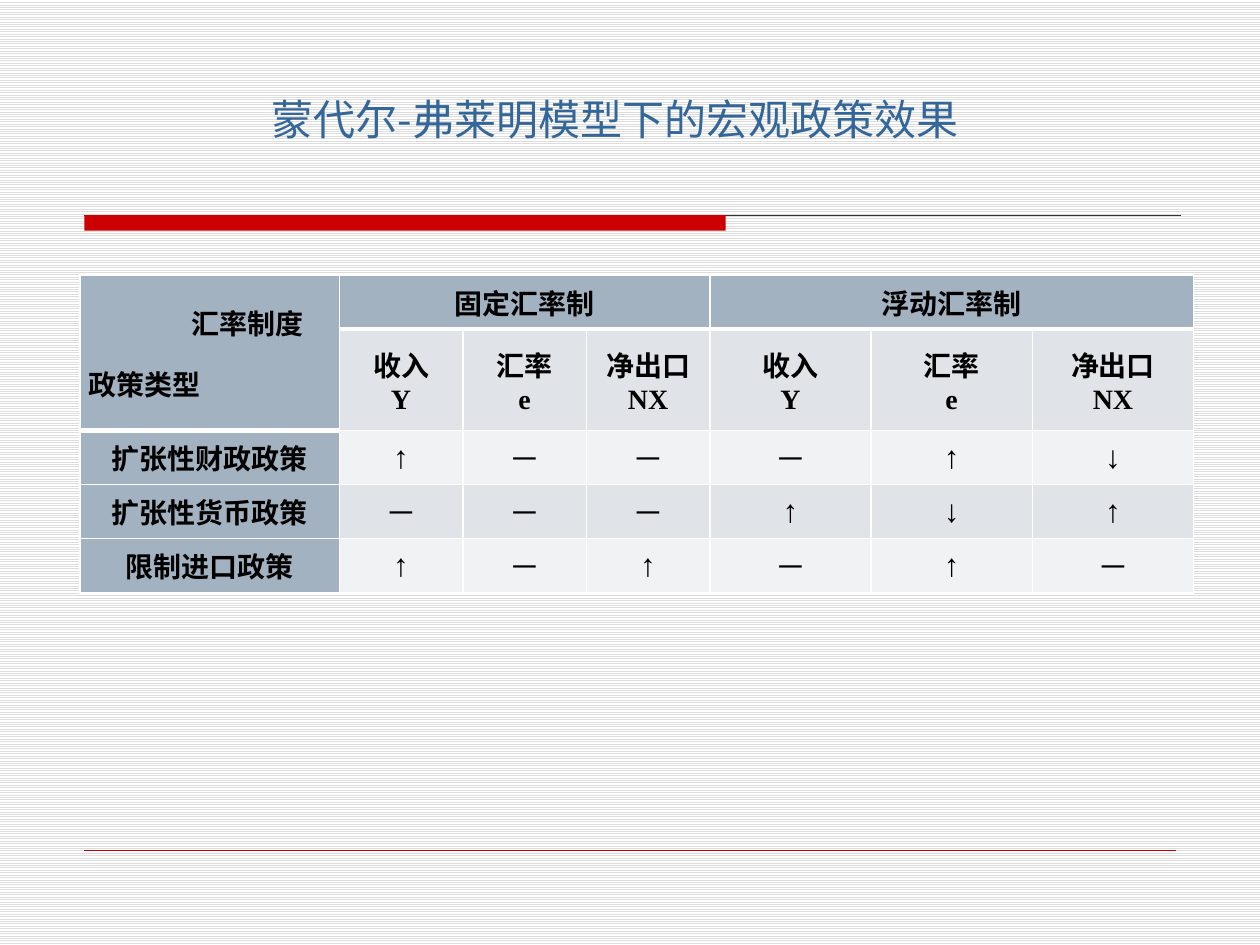
from typing import NamedTuple

from lxml.etree import SubElement
from pptx import Presentation
from pptx.dml.color import RGBColor
from pptx.enum.dml import MSO_PATTERN
from pptx.enum.shapes import MSO_CONNECTOR, MSO_SHAPE
from pptx.enum.text import MSO_ANCHOR, MSO_AUTO_SIZE, PP_ALIGN
from pptx.oxml.ns import qn
from pptx.util import Cm, Pt

HEAD, DARK, PALE = "A3B2C1", "E0E4E9", "F0F2F4"
SANS, SERIF = "Noto Sans CJK SC", "Times New Roman"


class Rule(NamedTuple):
    left: float
    top: float
    right: float
    color: str
    width: float


class Policy(NamedTuple):
    name: str
    marks: str


RULES = [
    Rule(1.7, 4.34, 23.8, "333333", 0.75),
    Rule(1.7, 17.14, 23.7, "CC0000", 0.25),
]
REGIMES = ["固定汇率制", "浮动汇率制"]
TERMS = ["收入\nY", "汇率\ne", "净出口\nNX"]
POLICIES = [
    Policy("扩张性财政政策", "↑───↑↓"),
    Policy("扩张性货币政策", "───↑↓↑"),
    Policy("限制进口政策", "↑─↑─↑─"),
]
WIDTHS = [5.23] + [2.49] * 3 + [3.25] * 3
HEIGHTS = [1.09, 1.35] + [1.09] * 3


def paint(color, value: str) -> None:
    color.rgb = RGBColor.from_string(value)


def style(para, name: str, size: float, color: str, bold: bool) -> None:
    font = para.font
    font.name, font.size, font.bold = name, Pt(size), bold
    paint(font.color, color)
    base = para._p.pPr.find(qn("a:defRPr"))
    SubElement(base, qn("a:ea"), typeface=SANS)


def draw_rule(slide, rule: Rule) -> None:
    line = slide.shapes.add_connector(
        MSO_CONNECTOR.STRAIGHT,
        Cm(rule.left), Cm(rule.top), Cm(rule.right), Cm(rule.top),
    )
    paint(line.line.color, rule.color)
    line.line.width = Pt(rule.width)
    SubElement(line._element.spPr, qn("a:effectLst"))


def draw_bar(slide) -> None:
    bar = slide.shapes.add_shape(
        MSO_SHAPE.RECTANGLE, Cm(1.7), Cm(4.34), Cm(12.93), Cm(0.31)
    )
    bar.shadow.inherit = False
    bar.fill.solid()
    paint(bar.fill.fore_color, "CC0000")
    bar.line.fill.background()


def add_title(slide) -> None:
    title = slide.shapes.title
    title.left, title.top = Cm(2.9), Cm(1.88)
    title.width, title.height = Cm(19), Cm(1.02)
    frame = title.text_frame
    frame.text = "蒙代尔-弗莱明模型下的宏观政策效果"
    frame.auto_size = MSO_AUTO_SIZE.NONE
    frame.word_wrap = True
    frame.vertical_anchor = MSO_ANCHOR.MIDDLE
    frame.margin_left = frame.margin_right = 0
    frame.margin_top = frame.margin_bottom = 0
    para = frame.paragraphs[0]
    para.alignment = PP_ALIGN.CENTER
    style(para, SANS, 24, "336699", False)


def add_edges(cell, base: float) -> None:
    props = cell._tc.get_or_add_tcPr()
    for side, width in zip("LRTB", (1, 1, 1, base)):
        edge = SubElement(props, qn(f"a:ln{side}"), w=str(Pt(width)))
        fill = SubElement(edge, qn("a:solidFill"))
        SubElement(fill, qn("a:srgbClr"), val="FFFFFF")


def dress(cell, fill: str, base: float) -> None:
    add_edges(cell, base)
    cell.fill.solid()
    paint(cell.fill.fore_color, fill)
    cell.vertical_anchor = MSO_ANCHOR.MIDDLE
    cell.margin_left = cell.margin_right = Cm(0.18)
    cell.margin_top = cell.margin_bottom = 0


def write(cell, text: str, size: float) -> None:
    cell.text = text
    for para in cell.text_frame.paragraphs:
        para.alignment = PP_ALIGN.CENTER
        style(para, SERIF, size, "000000", True)


def add_grid(slide) -> None:
    rows, cols = len(HEIGHTS), len(WIDTHS)
    grid = slide.shapes.add_table(
        rows, cols, Cm(1.61), Cm(5.54), Cm(sum(WIDTHS)), Cm(sum(HEIGHTS))
    ).table
    grid.first_row = grid.horz_banding = False
    for col, width in zip(grid.columns, WIDTHS):
        col.width = Cm(width)
    for row, height in zip(grid.rows, HEIGHTS):
        row.height = Cm(height)
    for r in range(rows):
        for c in range(cols):
            head = r == 0 or c == 0
            fill = HEAD if head else DARK if r % 2 else PALE
            base = 3 if r == 0 or (r, c) == (1, 0) else 1
            dress(grid.cell(r, c), fill, base)

    corner = grid.cell(0, 0)
    corner.merge(grid.cell(1, 0))
    write(corner, "汇率制度\n政策类型", 16)
    top, low = corner.text_frame.paragraphs
    top.alignment = low.alignment = PP_ALIGN.LEFT
    top._p.pPr.set("marL", str(Cm(2.08)))
    low.space_before = Pt(12)

    span = len(TERMS)
    for i, name in enumerate(REGIMES):
        first = 1 + i * span
        cell = grid.cell(0, first)
        cell.merge(grid.cell(0, first + span - 1))
        write(cell, name, 16)
        for j, term in enumerate(TERMS):
            write(grid.cell(1, first + j), term, 16)
    for r, row in enumerate(POLICIES, 2):
        write(grid.cell(r, 0), row.name, 16)
        for c, mark in enumerate(row.marks, 1):
            write(grid.cell(r, c), mark, 18)


def main() -> None:
    deck = Presentation()
    deck.slide_width, deck.slide_height = Cm(25.4), Cm(19.05)
    slide = deck.slides.add_slide(deck.slide_layouts[5])
    back = slide.background.fill
    back.patterned()
    back.pattern = MSO_PATTERN.LIGHT_HORIZONTAL
    paint(back.fore_color, "DDDDDD")
    paint(back.back_color, "FFFFFF")
    for rule in RULES:
        draw_rule(slide, rule)
    draw_bar(slide)
    add_title(slide)
    add_grid(slide)
    deck.save("out.pptx")


if __name__ == "__main__":
    main()
